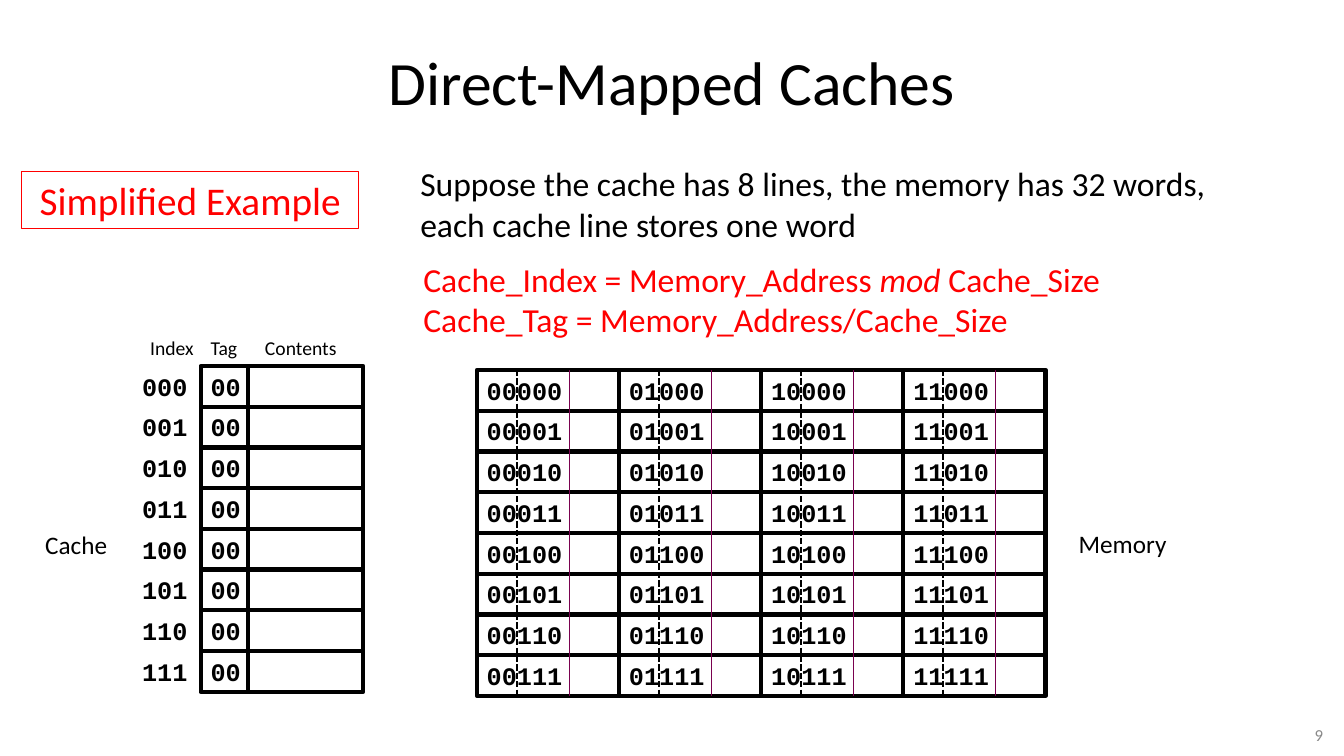
import dataclasses

import lxml.etree
import pptx
import pptx.dml.color
import pptx.enum.dml
import pptx.enum.shapes
import pptx.enum.text
import pptx.oxml.ns
import pptx.util

ALIGN = pptx.enum.text.PP_ALIGN
ANCHOR = pptx.enum.text.MSO_ANCHOR
BLACK, RED, GREY, PURPLE = "000000", "FF0000", "898989", "7A014F"
SANS, MONO = "Calibri", "Courier New"
LINES = 8  # cache lines, and words in each memory block


@dataclasses.dataclass(frozen=True)
class Box:
    """Left, top, width and height in percent of the slide."""
    x: float
    y: float
    w: float
    h: float


@dataclasses.dataclass(frozen=True)
class Grid:
    """Equal rows and given columns, in percent of the slide."""
    x: float
    y: float
    widths: tuple[float, ...]
    row: float = 5.39

    def cell(self, col: int, row: int) -> Box:
        return Box(self.x + sum(self.widths[:col]), self.y + row * self.row,
                   self.widths[col], self.row)


@dataclasses.dataclass(frozen=True)
class Run:
    text: str
    italic: bool = False


@dataclasses.dataclass(frozen=True)
class Style:
    size: float
    color: str = BLACK
    font: str = SANS
    bold: bool = False
    align: ALIGN = ALIGN.LEFT
    anchor: ANCHOR = ANCHOR.TOP


@dataclasses.dataclass(frozen=True)
class Label:
    box: Box
    paragraphs: tuple[tuple[Run, ...], ...]
    style: Style


@dataclasses.dataclass(frozen=True)
class Divider:
    share: float  # position within a memory block
    color: str
    width: float
    dashed: bool


prs = pptx.Presentation()
prs.slide_width = pptx.util.Inches(13.33)
prs.slide_height = pptx.util.Inches(7.5)
s = prs.slides.add_slide(prs.slide_layouts[5])


def color(value: str) -> pptx.dml.color.RGBColor:
    return pptx.dml.color.RGBColor.from_string(value)


def px(share: float) -> int:
    return round(prs.slide_width * share / 100)


def py(share: float) -> int:
    return round(prs.slide_height * share / 100)


def place(box: Box) -> tuple[int, int, int, int]:
    return px(box.x), py(box.y), px(box.w), py(box.h)


def write(sp, paragraphs: tuple[tuple[Run, ...], ...], style: Style) -> None:
    tf = sp.text_frame
    tf.word_wrap = True
    tf.auto_size = pptx.enum.text.MSO_AUTO_SIZE.NONE
    tf.vertical_anchor = style.anchor
    if style.align == ALIGN.LEFT:
        tf.margin_right = 0
    for i, runs in enumerate(paragraphs):
        p = tf.add_paragraph() if i else tf.paragraphs[0]
        p.alignment = style.align
        for run in runs:
            r = p.add_run()
            r.text = run.text
            r.font.name = style.font
            r.font.size = pptx.util.Pt(style.size)
            r.font.bold = style.bold
            r.font.italic = run.italic
            r.font.color.rgb = color(style.color)


def add_label(label: Label) -> None:
    write(s.shapes.add_textbox(*place(label.box)), label.paragraphs, label.style)


def add_cell(box: Box, text: str, style: Style, line: str = BLACK, width: float = 3) -> None:
    sp = s.shapes.add_shape(pptx.enum.shapes.MSO_SHAPE.RECTANGLE, *place(box))
    sp.shadow.inherit = False
    sp.fill.background()
    sp.line.color.rgb = color(line)
    sp.line.width = pptx.util.Pt(width)
    if text:
        write(sp, ((Run(text),),), style)


def add_divider(grid: Grid, col: int, divider: Divider) -> None:
    top = grid.cell(col, 0)
    x = px(top.x + divider.share * top.w)
    line = s.shapes.add_connector(pptx.enum.shapes.MSO_CONNECTOR.STRAIGHT,
                                  x, py(grid.y), x, py(grid.y + LINES * grid.row))
    line.line.color.rgb = color(divider.color)
    line.line.width = pptx.util.Pt(divider.width)
    if divider.dashed:
        line.line.dash_style = pptx.enum.dml.MSO_LINE.SQUARE_DOT
    lxml.etree.SubElement(line._element.spPr, pptx.oxml.ns.qn("a:effectLst"))


CODE = Style(18, font=MONO, bold=True)
HEADING, NAME, BODY = Style(14), Style(18), Style(24)
CACHE = Grid(9.83, 48.4, (5.1, 3.5, 8.6))  # index, tag, contents
MEMORY = Grid(35.48, 48.93, (10.58,) * 4)  # one column per tag
DIVIDERS = (Divider(0.28, BLACK, 1.5, True), Divider(0.65, PURPLE, 0.75, False))
LABELS = (
    Label(Box(10.43, 43.73, 4.8, 4.53), ((Run("Index"),),), HEADING),
    Label(Box(14.93, 43.73, 3.5, 4.53), ((Run("Tag"),),), HEADING),
    Label(Box(18.98, 43.73, 6.9, 4.53), ((Run("Contents"),),), HEADING),
    Label(Box(2.63, 69.33, 6.15, 5.33), ((Run("Cache"),),), NAME),
    Label(Box(79.52, 69.2, 8.1, 5.33), ((Run("Memory"),),), NAME),
    Label(Box(30.53, 20.93, 60.46, 12.13),
          ((Run("Suppose the cache has 8 lines, the memory has 32 words,"),),
           (Run("each cache line stores one word"),)), BODY),
    Label(Box(30.76, 33.6, 52.36, 12.13),
          ((Run("Cache_Index = Memory_Address "), Run("mod ", True), Run("Cache_Size")),
           (Run("Cache_Tag = Memory_Address/Cache_Size"),)), Style(24, RED)),
    Label(Box(88.45, 95.2, 10.73, 3.87), ((Run("9"),),),
          Style(12, GREY, align=ALIGN.RIGHT, anchor=ANCHOR.MIDDLE)),
)

# Title
title = s.shapes.title
title.left, title.top, title.width, title.height = place(Box(5, 4, 90, 13.47))
write(title, ((Run("Direct-Mapped Caches"),),),
      Style(44, align=ALIGN.CENTER, anchor=ANCHOR.MIDDLE))

# Cache lines
for row in range(LINES):
    add_label(Label(CACHE.cell(0, row), ((Run(f"{row:03b}"),),), CODE))
    add_cell(CACHE.cell(1, row), "00", CODE)
    add_cell(CACHE.cell(2, row), "", CODE)

# Memory words, each block split into tag, index and contents
for col in range(len(MEMORY.widths)):
    for row in range(LINES):
        add_cell(MEMORY.cell(col, row), f"{col * LINES + row:05b}", CODE)
    for divider in DIVIDERS:
        add_divider(MEMORY, col, divider)

# Explanations and captions
add_cell(Box(1.58, 22.67, 25.13, 7.6), "Simplified Example",
         Style(28, RED, align=ALIGN.CENTER), RED, 0.75)
for label in LABELS:
    add_label(label)

prs.save("out.pptx")
